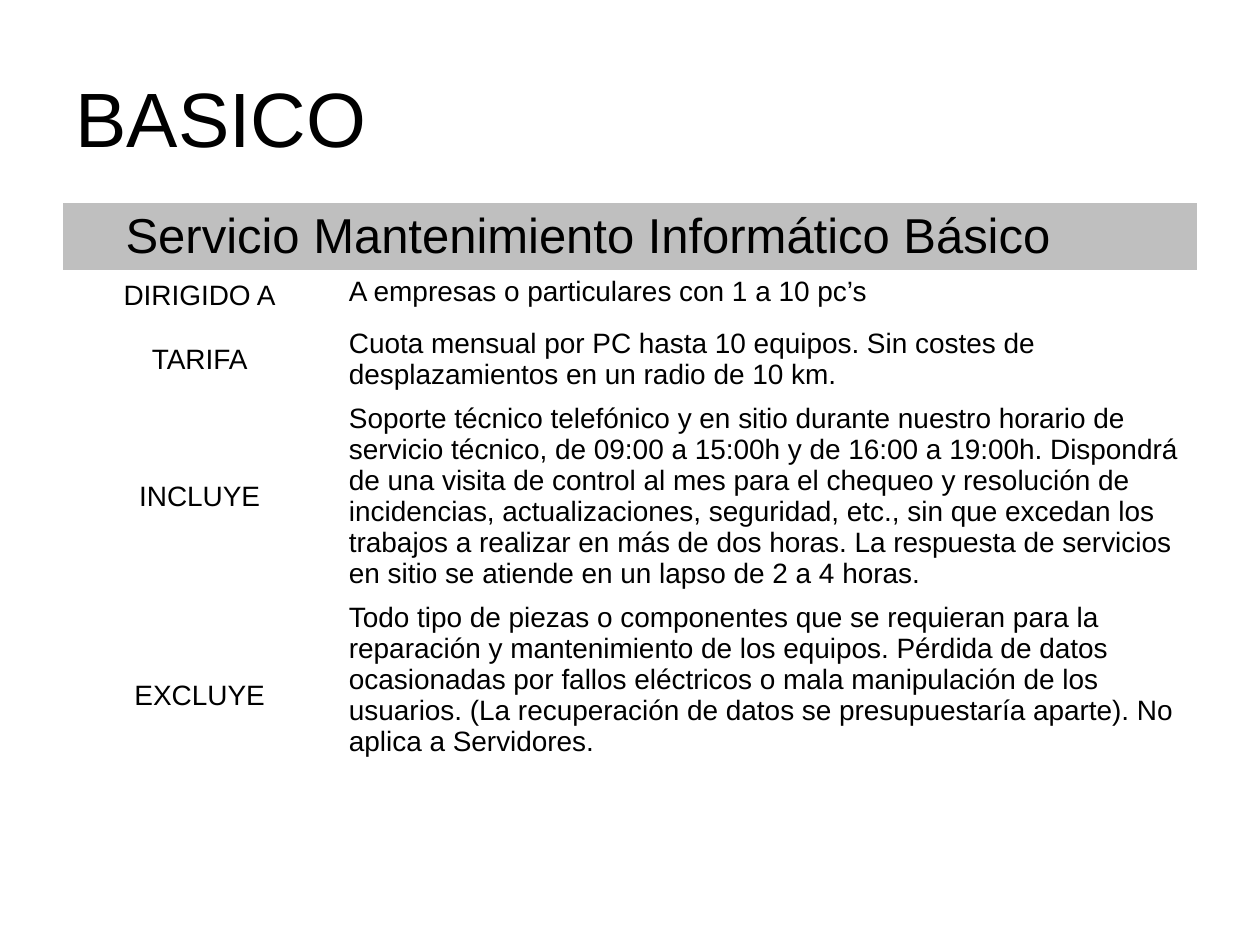
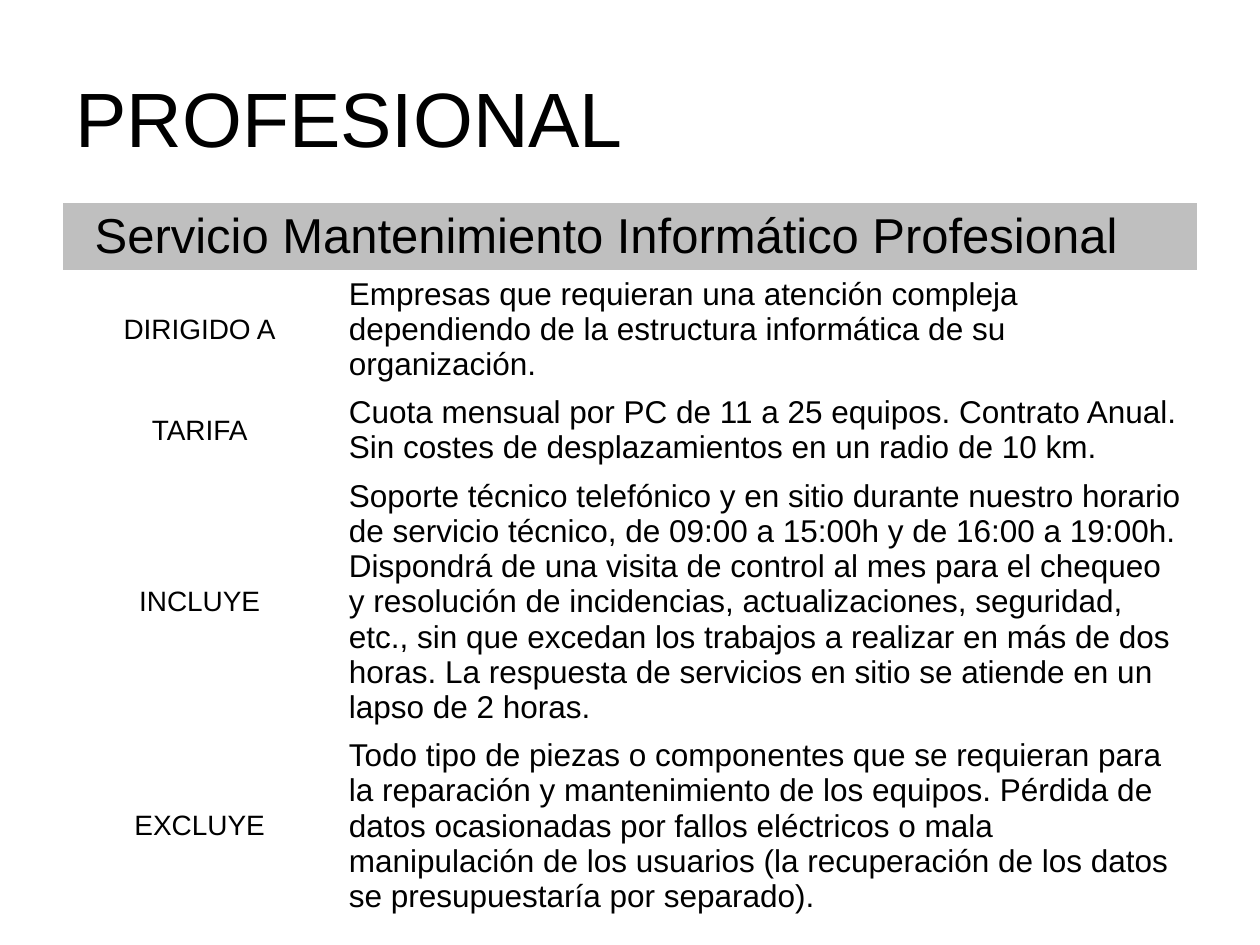
"""Two service plan slides, each a title over a two-column table."""
from pptx import Presentation
from pptx.dml.color import RGBColor
from pptx.enum.text import MSO_ANCHOR, PP_ALIGN
from pptx.oxml.ns import qn
from pptx.util import Cm, Pt

LEFT, CENTER = PP_ALIGN.LEFT, PP_ALIGN.CENTER
TOP, MIDDLE = MSO_ANCHOR.TOP, MSO_ANCHOR.MIDDLE
BLACK = RGBColor(0x00, 0x00, 0x00)
GRAY = RGBColor(0xBF, 0xBF, 0xBF)
PLAIN_TABLE = "{2D5ABB26-0587-4C30-8999-92F81FD0307C}"
LABELS = ("DIRIGIDO A", "TARIFA", "INCLUYE", "EXCLUYE")

PLANS = (
    {
        "title": "BASICO",
        "header": "Servicio Mantenimiento Informático Básico",
        "header_inset": 1.95,
        "size": 16,
        "heights": (1.04, 1.5, 4.01, 4.01),
        "texts": (
            "A empresas o particulares con 1 a 10 pc’s",
            "Cuota mensual por PC\u00a0hasta 10 equipos.\u00a0Sin costes de "
            "desplazamientos en un radio de 10 km.",
            "Soporte técnico telefónico y en sitio durante nuestro horario de "
            "servicio técnico, de 09:00 a 15:00h y de 16:00 a 19:00h. Dispondrá "
            "de una visita de control al mes para el chequeo y resolución de "
            "incidencias, actualizaciones, seguridad, etc., sin que excedan los "
            "trabajos a realizar en más de dos horas. La respuesta de servicios "
            "en sitio se atiende en un lapso de 2 a 4 horas.",
            "Todo tipo de piezas o componentes que se requieran para la "
            "reparación y mantenimiento de los equipos. Pérdida de datos "
            "ocasionadas por fallos eléctricos o mala manipulación de los "
            "usuarios. (La recuperación de datos se presupuestaría aparte). No "
            "aplica a Servidores.",
        ),
    },
    {
        "title": "PROFESIONAL",
        "header": "Servicio Mantenimiento Informático Profesional",
        "header_inset": 1.22,
        "size": 18,
        "heights": (2.38, 1.68, 5.22, 3.81),
        "texts": (
            "Empresas que requieran una atención compleja dependiendo de la "
            "estructura informática de su organización.",
            "Cuota mensual por PC de 11 a 25 equipos. Contrato Anual. Sin costes "
            "de desplazamientos en un radio de 10 km.",
            "Soporte técnico telefónico y en sitio durante nuestro horario de "
            "servicio técnico, de 09:00 a 15:00h y de 16:00 a 19:00h. Dispondrá "
            "de una visita de control al mes para el chequeo y resolución de "
            "incidencias, actualizaciones, seguridad, etc., sin que excedan los "
            "trabajos a realizar en más de dos horas. La respuesta de servicios "
            "en sitio se atiende en un lapso de 2 horas.",
            "Todo tipo de piezas o componentes que se requieran para la "
            "reparación y mantenimiento de los equipos. Pérdida de datos "
            "ocasionadas por fallos eléctricos o mala manipulación de los "
            "usuarios (la recuperación de los datos se presupuestaría por "
            "separado).",
        ),
    },
)


class Deck:
    """Holds the presentation, its style and the current slide."""

    font = "Arial"
    left, width = 1.27, 22.86
    columns = (5.51, 17.35)
    header_height = 1.36

    def __init__(self):
        self.prs = Presentation()
        self.prs.slide_width, self.prs.slide_height = Cm(25.4), Cm(19.05)

    def new_slide(self):
        self.slide = self.prs.slides.add_slide(self.prs.slide_layouts[5])

    def set_text(self, tf, text, size, align):
        tf.text = text
        p = tf.paragraphs[0]
        p.alignment = align
        font = p.runs[0].font
        font.name, font.size = self.font, Pt(size)
        font.color.rgb = BLACK

    def title(self, text):
        sp = self.slide.shapes.title
        sp.left, sp.top = Cm(self.left), Cm(0.76)
        sp.width, sp.height = Cm(self.width), Cm(3.18)
        sp.text_frame.vertical_anchor = MIDDLE
        self.set_text(sp.text_frame, text, 44, LEFT)

    def cell(self, cell, text, size, align, anchor):
        cell.vertical_anchor = anchor
        cell.fill.background()
        self.set_text(cell.text_frame, text, size, align)

    def table(self, plan):
        heights = (self.header_height, *plan["heights"])
        table = self.slide.shapes.add_table(
            len(heights), len(self.columns), Cm(self.left), Cm(4.09),
            Cm(self.width), Cm(sum(heights))).table
        table.first_row = table.horz_banding = False
        table._tbl.tblPr.find(qn("a:tableStyleId")).text = PLAIN_TABLE
        for column, width in zip(table.columns, self.columns):
            column.width = Cm(width)
        for row, height in zip(table.rows, heights):
            row.height = Cm(height)

        header = table.cell(0, 0)
        header.merge(table.cell(0, 1))
        self.cell(header, plan["header"], 28, CENTER, TOP)
        header.margin_right = Cm(plan["header_inset"])
        header.fill.solid()
        header.fill.fore_color.rgb = GRAY
        for i, (label, text) in enumerate(zip(LABELS, plan["texts"]), 1):
            self.cell(table.cell(i, 0), label, 16, CENTER, MIDDLE)
            self.cell(table.cell(i, 1), text, plan["size"], LEFT, TOP)


deck = Deck()
for plan in PLANS:
    deck.new_slide()
    deck.title(plan["title"])
    deck.table(plan)
deck.prs.save("out.pptx")
